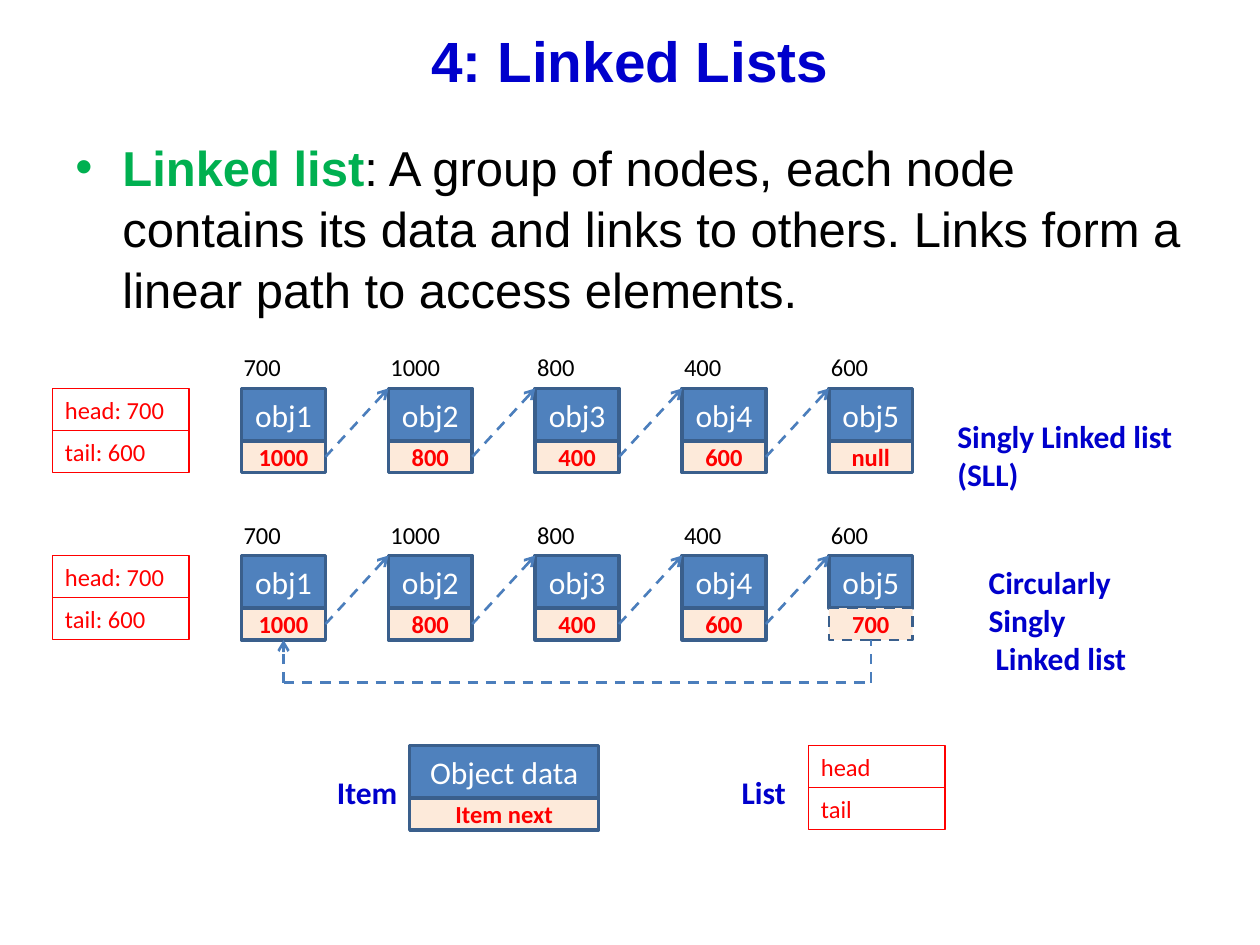
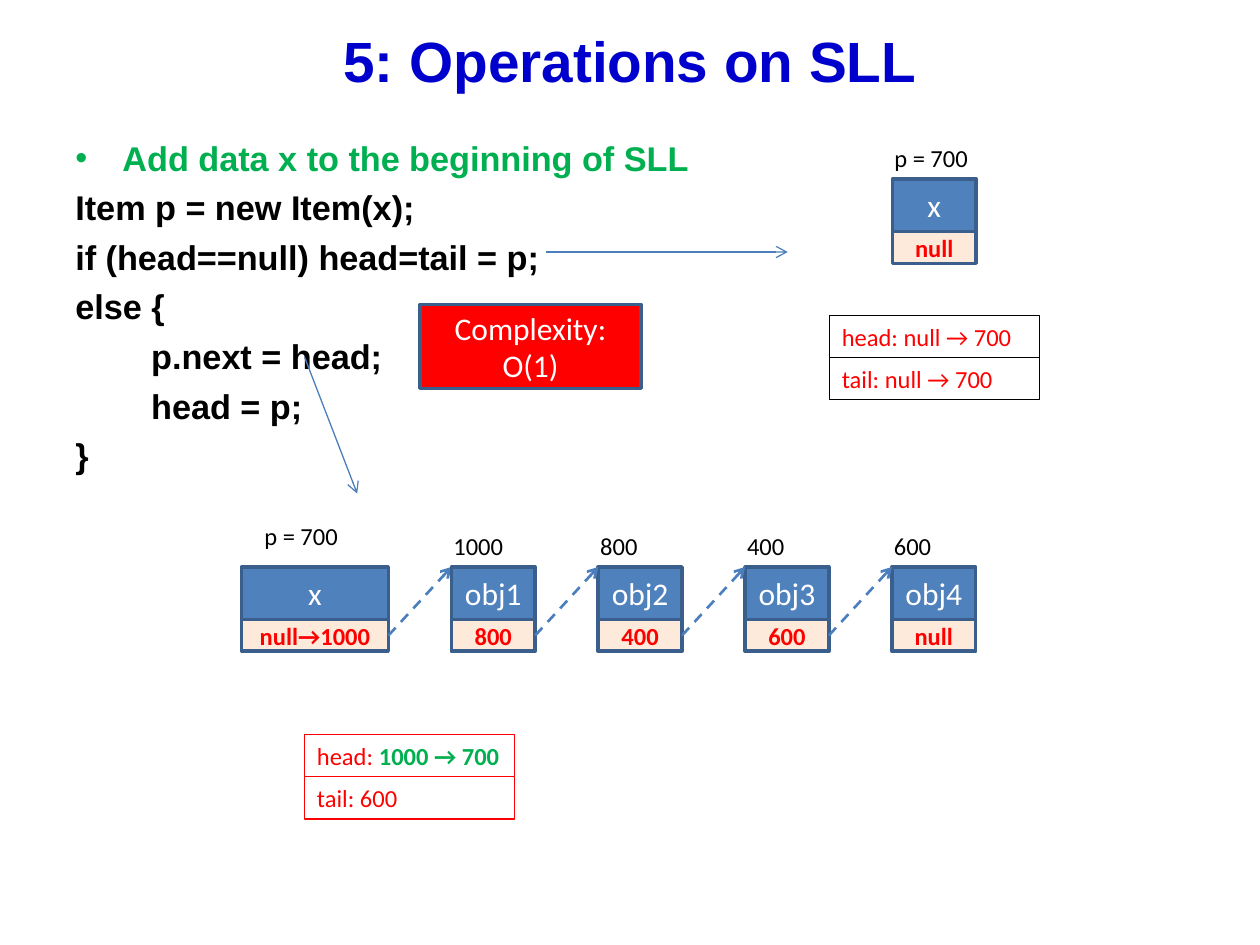
from pptx import Presentation
from pptx.dml.color import RGBColor
from pptx.enum.dml import MSO_LINE_DASH_STYLE as Dash
from pptx.enum.shapes import MSO_CONNECTOR as Connector, MSO_SHAPE as Shape
from pptx.enum.text import MSO_ANCHOR as Anchor, PP_ALIGN as Align
from pptx.oxml.ns import qn
from pptx.util import Cm, Pt
from lxml.etree import SubElement

COLORS = {
    "title": "0000CC", "term": "00B050", "text": "000000", "white": "FFFFFF",
    "data": "4F81BD", "next": "FDEADA", "border": "3A5F8C",
    "arrow": "4B7EBC", "red": "FF0000",
}
HEADING_FONT, DIAGRAM_FONT = "Arial", "Calibri"
NODE_WIDTH, DATA_HEIGHT, NEXT_HEIGHT = 1.69, 1.06, 0.64
NODE_PITCH = 2.96
FIELD_HEIGHT = 0.85
BULLET_INDENT = 0.95


def color(name):
    """Return the named colour."""
    return RGBColor.from_string(COLORS[name])


def set_font(font, size, color_name, bold=False, name=DIAGRAM_FONT):
    """Style one font."""
    font.name, font.size, font.bold = name, Pt(size), bold
    font.color.rgb = color(color_name)


def set_indent(paragraph, left, first=0.0, bullet=None):
    """Set the indents and the bullet of a paragraph."""
    properties = paragraph._p.get_or_add_pPr()
    properties.set("marL", str(Cm(left)))
    properties.set("indent", str(Cm(first)))
    if bullet:
        SubElement(properties, qn("a:buFont")).set("typeface", HEADING_FONT)
        SubElement(properties, qn("a:buChar")).set("char", bullet)


def add_run(paragraph, text, color_name, bold):
    """Append a run that departs from the paragraph font."""
    run = paragraph.add_run()
    run.text = text
    run.font.bold = bold
    run.font.color.rgb = color(color_name)


def write(shape, lines, size, color_name, bold=False, align=Align.LEFT, anchor=Anchor.TOP):
    """Fill a shape with paragraphs of one style."""
    frame = shape.text_frame
    frame.word_wrap = True
    frame.vertical_anchor = anchor
    for number, line in enumerate(lines):
        paragraph = frame.add_paragraph() if number else frame.paragraphs[0]
        paragraph.text = line
        paragraph.alignment = align
        set_font(paragraph.font, size, color_name, bold)
    return frame.paragraphs


def add_label(slide, left, top, width, height, lines, size=14, color_name="text",
              bold=False, align=Align.LEFT):
    """Add a text box and return its paragraphs."""
    label = slide.shapes.add_textbox(Cm(left), Cm(top), Cm(width), Cm(height))
    return write(label, lines, size, color_name, bold, align)


def add_caption(slide, left, top, width, height, lines, align=Align.LEFT):
    """Add a bold blue caption."""
    return add_label(slide, left, top, width, height, lines, 18, "title", True, align)


def add_box(slide, left, top, width, height, fill, border, weight):
    """Add a rectangle, hollow when it has no fill colour."""
    box = slide.shapes.add_shape(Shape.RECTANGLE, Cm(left), Cm(top), Cm(width), Cm(height))
    box.shadow.inherit = False
    if fill:
        box.fill.solid()
        box.fill.fore_color.rgb = color(fill)
    else:
        box.fill.background()
    box.line.color.rgb = color(border)
    box.line.width = Pt(weight)
    return box


def add_cell(slide, left, top, width, height, text, fill, size, color_name, bold=False):
    """Add a filled box with centred text."""
    box = add_box(slide, left, top, width, height, fill, "border", 2)
    write(box, [text], size, color_name, bold, Align.CENTER, Anchor.MIDDLE)
    return box


def add_node(slide, left, top, data, link, width=NODE_WIDTH):
    """Add a list node and return its link cell."""
    add_cell(slide, left, top, width, DATA_HEIGHT, data, "data", 18, "white")
    return add_cell(slide, left, top + DATA_HEIGHT, width, NEXT_HEIGHT, link,
                    "next", 14, "red", True)


def add_line(slide, start, end, dashed=True, arrow=True):
    """Draw a line between two points, with an arrowhead at its end if wanted."""
    line = slide.shapes.add_connector(Connector.STRAIGHT, *map(Cm, start + end))
    line.line.color.rgb = color("arrow")
    line.line.width = Pt(1.5 if dashed else 0.75)
    if dashed:
        line.line.dash_style = Dash.DASH
    if arrow:
        SubElement(line.line._get_or_add_ln(), qn("a:tailEnd")).set("type", "arrow")
    SubElement(line._element.spPr, qn("a:effectLst"))


def add_link(slide, right, next_left, top):
    """Point from a link cell to the top of the next node."""
    add_line(slide, (right, top + DATA_HEIGHT + NEXT_HEIGHT / 2), (next_left, top))


def add_chain(slide, left, top, nodes):
    """Add linked nodes with their addresses and return the last link cell."""
    for number, (address, data, link) in enumerate(nodes):
        x = left + number * NODE_PITCH
        last_link = add_node(slide, x, top, data, link)
        add_label(slide, x - 0.21, top - 0.85, NODE_WIDTH, 0.86, [address])
        if number:
            add_link(slide, x - NODE_PITCH + NODE_WIDTH, x, top)
    return last_link


def add_fields(slide, left, top, width, fields, border="red"):
    """Stack the fields of a list and return their paragraphs."""
    paragraphs = []
    for number, text in enumerate(fields):
        box = add_box(slide, left, top + number * FIELD_HEIGHT, width, FIELD_HEIGHT,
                      None, border, 0.75)
        paragraphs += write(box, [text], 14, "red")
    return paragraphs


def add_slide(presentation, title):
    """Add a blank slide with its title."""
    slide = presentation.slides.add_slide(presentation.slide_layouts[6])
    heading = slide.shapes.add_textbox(Cm(1.27), Cm(0.43), Cm(22.86), Cm(1.57))
    paragraph, = write(heading, [title], 32.4, "title", True, Align.CENTER, Anchor.MIDDLE)
    paragraph.font.name = HEADING_FONT
    return slide


def add_body(slide, width, height, lines, size, bold):
    """Add body text whose first paragraph has a bullet."""
    paragraphs = add_label(slide, 1.27, 2.6, width, height, lines, size)
    for number, paragraph in enumerate(paragraphs):
        set_indent(paragraph, BULLET_INDENT, -BULLET_INDENT, None if number else "•")
        paragraph.line_spacing = 1.04
        if number:
            paragraph.space_before = Pt(size * 0.2)
        set_font(paragraph.font, size, "text" if number else "term", bold, HEADING_FONT)
    return paragraphs


def build_linked_lists(presentation):
    """Show a singly linked list and its circular form."""
    slide = add_slide(presentation, "4: Linked Lists")
    definition, = add_body(slide, 22.9, 3.81, ["Linked list"], 28, True)
    add_run(definition, ": A group of nodes, each node contains its data and links "
            "to others. Links form a linear path to access elements.", "text", False)

    left, singly_top, circular_top = 4.87, 7.83, 11.2
    addresses = ["700", "1000", "800", "400", "600"]
    for top, end in ((singly_top, "null"), (circular_top, "700")):
        names = [f"obj{number}" for number in range(1, 6)]
        nodes = zip(addresses, names, addresses[1:] + [end])
        last_link = add_chain(slide, left, top, nodes)
        add_fields(slide, 1.06, top, 2.75, ["head: 700", "tail: 600"])
    last_link.line.dash_style = Dash.DASH
    last_link.line.width = Pt(1.5)

    first_x = left + NODE_WIDTH / 2
    last_x = first_x + 4 * NODE_PITCH
    bottom = circular_top + DATA_HEIGHT + NEXT_HEIGHT
    turn = bottom + 0.86
    add_line(slide, (first_x, turn), (first_x, bottom))
    add_line(slide, (first_x, turn), (last_x, turn), arrow=False)
    add_line(slide, (last_x, turn), (last_x, bottom), arrow=False)

    add_caption(slide, 19.05, 8.28, 4.88, 1.8, ["Singly Linked list", "(SLL)"])
    circular = add_caption(slide, 19.68, 11.23, 4.66, 2.57,
                           ["Circularly\vSingly", "Linked list"])
    set_indent(circular[1], 0.14)

    key_top = 15.03
    add_caption(slide, 5.93, key_top + 0.42, 2.33, 1.02, ["Item"], Align.RIGHT)
    add_node(slide, 8.26, key_top, "Object data", "Item next", 3.81)
    add_caption(slide, 13.76, key_top + 0.42, 2.33, 1.02, ["List"], Align.RIGHT)
    add_fields(slide, 16.3, key_top, 2.75, ["head", "tail"])


def build_operations(presentation):
    """Show how a node is added to the beginning of a list."""
    slide = add_slide(presentation, "5: Operations on SLL")
    add_body(slide, 13.76, 6.15, [
        "Add data x to the beginning of SLL",
        "Item p = new Item(x);",
        "if (head==null) head=tail = p;",
        "else {",
        "        p.next = head;",
        "        head = p;",
        "}",
    ], 19.6, True)

    add_fields(slide, 16.72, 6.36, 4.23, ["head: null → 700", "tail: null → 700"], "text")
    add_node(slide, 17.99, 3.61, "x", "null")
    add_label(slide, 17.78, 2.76, 2.54, 0.86, ["p = 700"])

    new_left, new_width, chain_left, top = 4.87, 2.96, 9.1, 11.43
    add_node(slide, new_left, top, "x", "null→1000", new_width)
    add_label(slide, 5.08, 10.37, 2.54, 0.86, ["p = 700"])
    add_link(slide, new_left + new_width, chain_left, top)
    add_chain(slide, chain_left, top, [
        ("1000", "obj1", "800"), ("800", "obj2", "400"),
        ("400", "obj3", "600"), ("600", "obj4", "null"),
    ])
    head, _ = add_fields(slide, 6.14, 14.81, 4.23, ["head: ", "tail: 600"])
    add_run(head, "1000 → 700", "term", True)

    add_line(slide, (11.0, 5.08), (15.88, 5.08), dashed=False)
    add_line(slide, (6.14, 7.2), (7.2, 9.95), dashed=False)
    add_cell(slide, 8.47, 6.14, 4.45, 1.69, "Complexity: O(1)", "red", 18, "white")


def main():
    """Build the presentation."""
    presentation = Presentation()
    presentation.slide_width, presentation.slide_height = Cm(25.4), Cm(19.05)
    build_linked_lists(presentation)
    build_operations(presentation)
    presentation.save("out.pptx")


if __name__ == "__main__":
    main()
